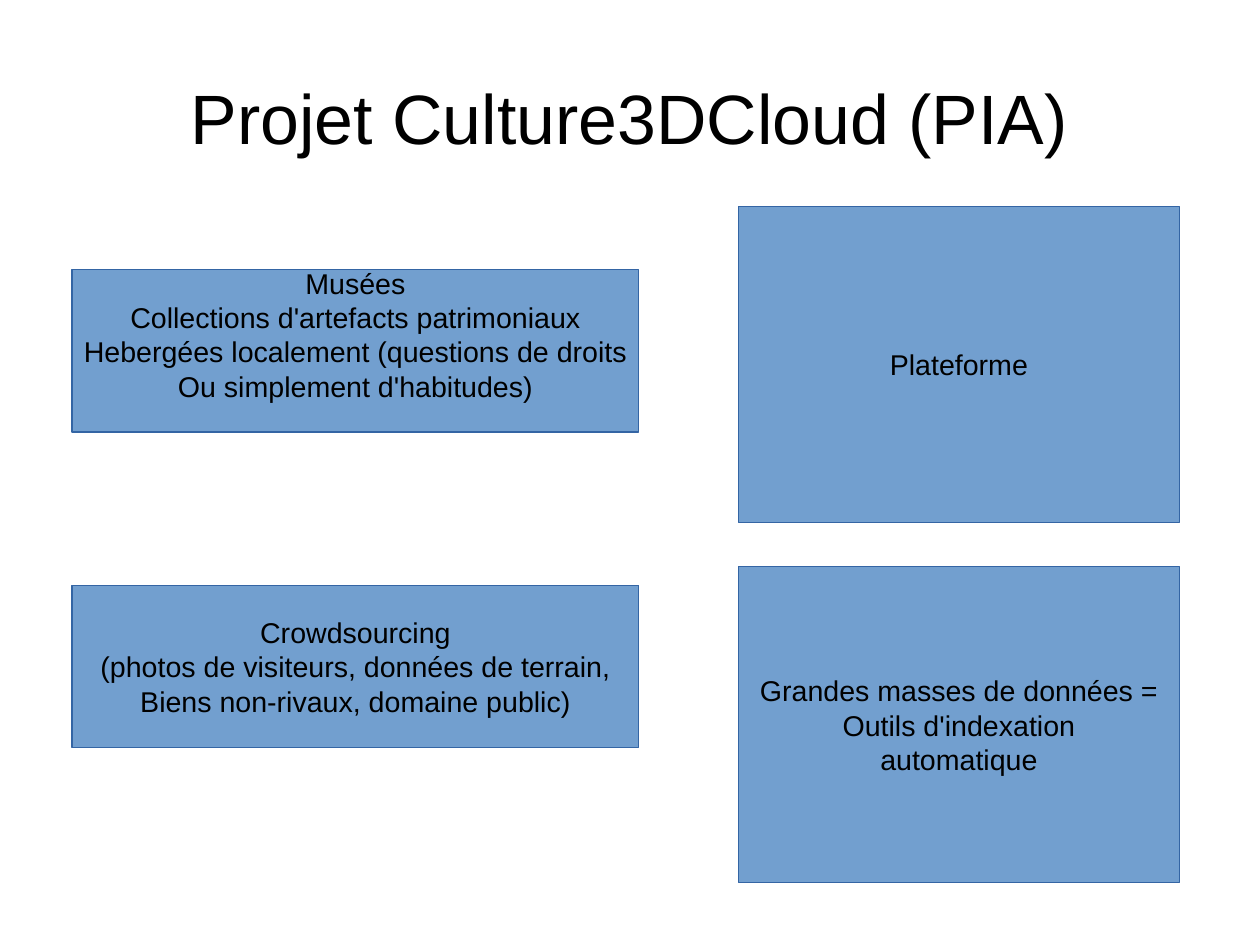
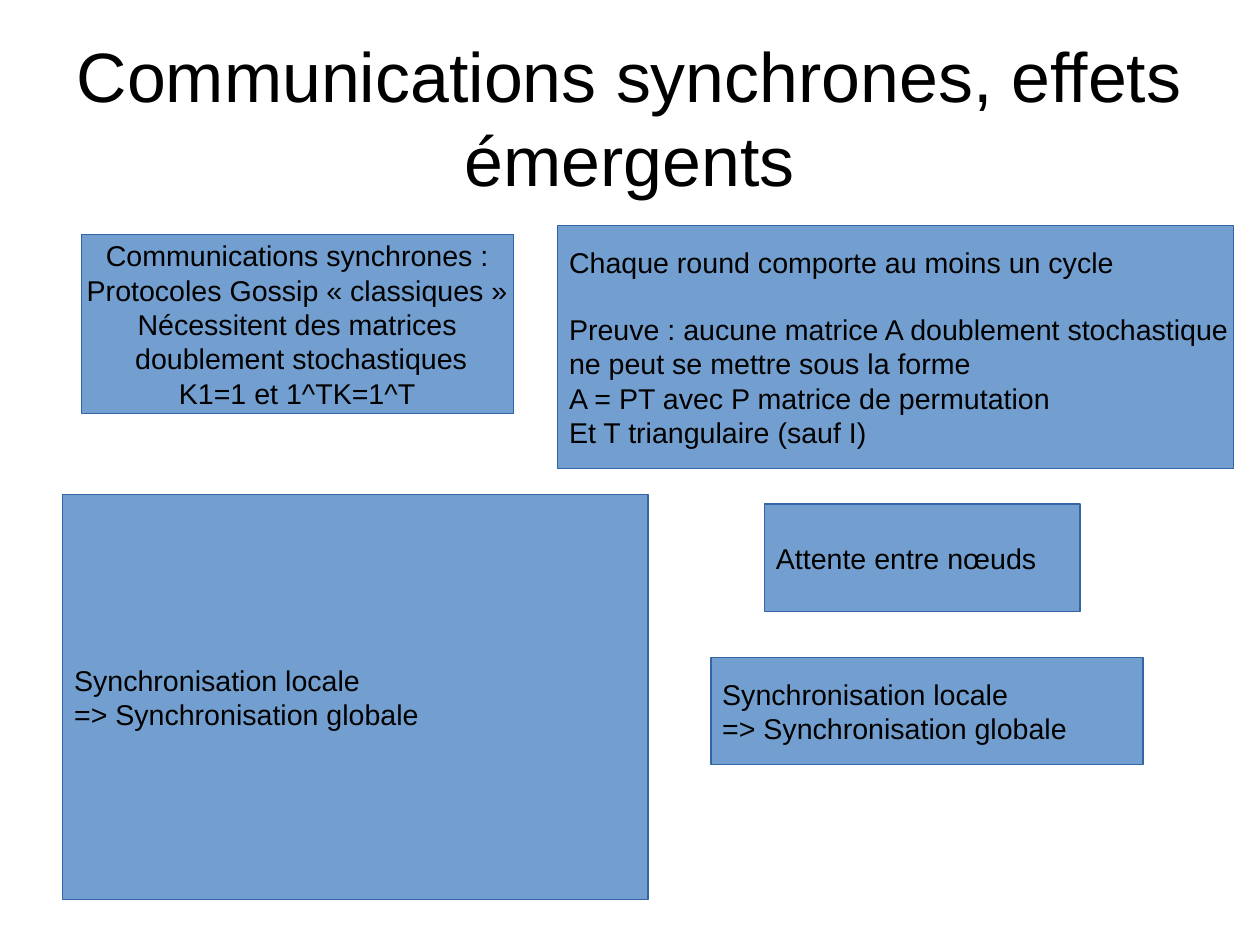
from pptx import Presentation
from pptx.dml.color import RGBColor
from pptx.enum.shapes import MSO_SHAPE
from pptx.enum.text import MSO_ANCHOR, PP_ALIGN
from pptx.util import Cm, Inches, Pt

FONT = "Arial"
INK = "000000"
FILL = "729FCF"
EDGE = "3465A4"
TITLE = (0.55, 0.33, 9.92, 1.38)
BODY = (0.55, 1.81)
LINE = 0.29


def color(code):
    """Turn a hex string into a colour."""
    return RGBColor.from_string(code)


def place(box):
    """Turn a box in inches into lengths."""
    return [Inches(value) for value in box]


def write(frame, lines, size, align):
    """Fill a text frame with one paragraph per line."""
    frame.vertical_anchor = MSO_ANCHOR.MIDDLE
    for index, line in enumerate(lines):
        para = frame.paragraphs[0] if index == 0 else frame.add_paragraph()
        para.text = line
        para.alignment = align
        para.font.name = FONT
        para.font.size = Pt(size)
        para.font.color.rgb = color(INK)


def start(deck, title):
    """Add a blank slide with its title."""
    slide = deck.slides.add_slide(deck.slide_layouts[6])
    frame = slide.shapes.add_textbox(*place(TITLE)).text_frame
    frame.word_wrap = True
    frame.margin_left = frame.margin_right = 0
    frame.margin_top = frame.margin_bottom = 0
    write(frame, [title], 44, PP_ALIGN.CENTER)
    return slide


def panel(slide, box, lines, align=PP_ALIGN.CENTER):
    """Draw a blue box with text and return its text frame."""
    shape = slide.shapes.add_shape(MSO_SHAPE.RECTANGLE, *place(box))
    shape.shadow.inherit = False
    shape.fill.solid()
    shape.fill.fore_color.rgb = color(FILL)
    shape.line.color.rgb = color(EDGE)
    shape.line.width = Pt(0)
    frame = shape.text_frame
    frame.word_wrap = False
    frame.margin_left = frame.margin_right = Inches(0.1)
    frame.margin_top = frame.margin_bottom = Inches(0.05)
    write(frame, lines, 18, align)
    return frame


def project(slide, left, top):
    """Place sources on the left and the platform on the right."""
    width, height, step = 4.96, 1.42, 2.76
    x, y = left + 0.08, top + 0.55
    museum = panel(slide, (x, y, width, height), [
        "Musées",
        "Collections d'artefacts patrimoniaux",
        "Hebergées localement (questions de droits",
        "Ou simplement d'habitudes)",
    ])
    museum.margin_bottom = Inches(0.05 + LINE)
    panel(slide, (x, y + step, width, height), [
        "Crowdsourcing",
        "(photos de visiteurs, données de terrain,",
        "Biens non-rivaux, domaine public)",
    ])
    tools = [
        ["Plateforme"],
        ["Grandes masses de données =", "Outils d'indexation", "automatique"],
    ]
    for row, lines in enumerate(tools):
        panel(slide, (left + 5.91, top + row * 3.15, 3.86, 2.76), lines)


def effects(slide, left, top):
    """Place the protocols, the proof and their effects."""
    panel(slide, (left + 0.16, top + 0.24, 3.78, 1.57), [
        "Communications synchrones :",
        "Protocoles Gossip « classiques »",
        "Nécessitent des matrices",
        " doublement stochastiques",
        "K1=1 et 1^TK=1^T",
    ])
    proof = panel(slide, (left + 4.33, top + 0.16, 5.91, 2.13), [
        "Chaque round comporte au moins un cycle",
        "Preuve : aucune matrice A doublement stochastique",
        "ne peut se mettre sous la forme",
        "A = PT avec P matrice de permutation",
        "Et T triangulaire (sauf I)",
    ], PP_ALIGN.LEFT)
    proof.paragraphs[1].space_before = Pt(LINE * 72)
    sync = ["Synchronisation locale", "=> Synchronisation globale"]
    parts = [
        ((6.14, 2.6, 2.76, 0.94), ["Attente entre nœuds"]),
        ((5.67, 3.94, 3.78, 0.94), sync),
        ((0, 2.52, 5.12, 3.54), sync),
    ]
    for (x, y, width, height), lines in parts:
        box = (left + x, top + y, width, height)
        panel(slide, box, lines, PP_ALIGN.LEFT)


def main():
    """Build and save both slides."""
    deck = Presentation()
    deck.slide_width = Cm(28)
    deck.slide_height = Cm(21)
    project(start(deck, "Projet Culture3DCloud (PIA)"), *BODY)
    effects(start(deck, "Communications synchrones, effets émergents"), *BODY)
    deck.save("out.pptx")


if __name__ == "__main__":
    main()
